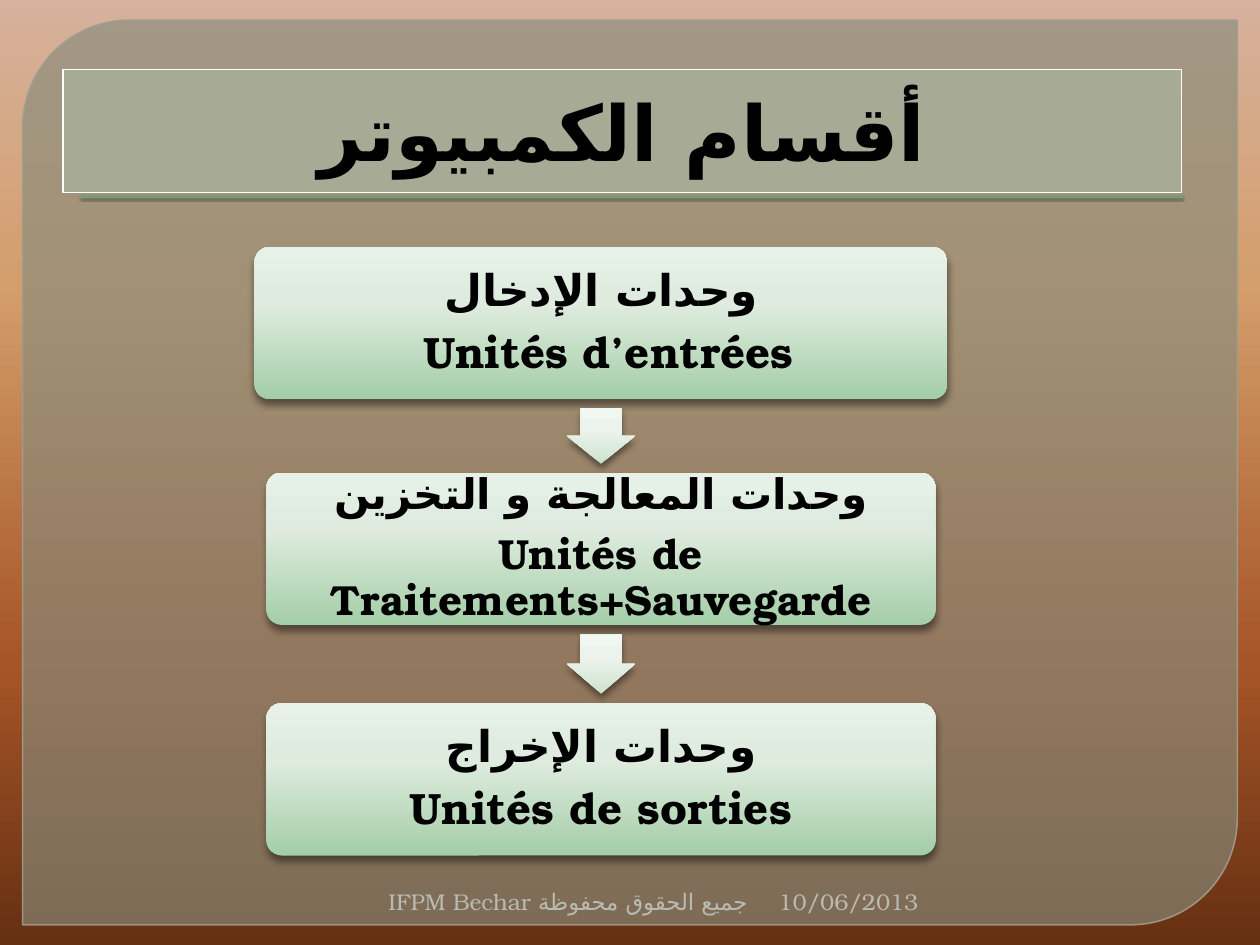
import dataclasses
import itertools

import pptx
import pptx.util
from pptx.dml.color import RGBColor
from pptx.enum.shapes import MSO_SHAPE
from pptx.enum.text import MSO_ANCHOR, PP_ALIGN
from pptx.oxml.ns import qn
from pptx.util import Inches
from lxml import etree


@dataclasses.dataclass(frozen=True)
class Theme:
    font: str = "TeX Gyre Bonum"
    arabic_font: str = "DejaVu Sans"
    text: str = "000000"
    footer: str = "B9BBB2"
    panel: str = "888B7B"
    panel_line: str = "9DA090"
    title_fill: str = "A7AA95"
    title_line: str = "FFFFFF"
    rule: str = "72A376"
    background: tuple = ((0, "D6B19C"), (30, "D49E6C"), (70, "A65528"), (100, "663012"))
    box: tuple = ((0, "A4CEA7"), (62, "DEEBDE"), (100, "E7F1E8"))
    arrow: tuple = ((0, "CEE3D0"), (62, "ECF3EC"), (100, "F1F7F1"))
    title_size: int = 44
    footer_size: int = 13


THEME = Theme()


def add_color(parent, color, alpha=100):
    clr = etree.SubElement(parent, qn("a:srgbClr"), val=color)
    if alpha < 100:
        etree.SubElement(clr, qn("a:alpha"), val=str(alpha * 1000))


def set_gradient(fill, owner, stops, angle):
    fill.gradient()
    grad = next(owner.iter(qn("a:gradFill")))
    for child in list(grad):
        grad.remove(child)
    grad.set("rotWithShape", "0")
    gs_list = etree.SubElement(grad, qn("a:gsLst"))
    for pos, color in stops:
        add_color(etree.SubElement(gs_list, qn("a:gs"), pos=str(pos * 1000)), color)
    etree.SubElement(grad, qn("a:lin"), ang=str(angle * 60000), scaled="0")


def set_alpha(color_owner, alpha):
    clr = next(color_owner.iter(qn("a:srgbClr")))
    etree.SubElement(clr, qn("a:alpha"), val=str(alpha * 1000))


def add_shadow(sp, alpha, blur, dist):
    effects = next(sp._element.iter(qn("a:effectLst")))
    shadow = etree.SubElement(
        effects, qn("a:outerShdw"), blurRad=str(pptx.util.Pt(blur)),
        dist=str(pptx.util.Pt(dist)), dir="5400000", rotWithShape="0")
    add_color(shadow, "000000", alpha)


def add_shape(s, kind, at, fill=None, line=None, width=0.75, adj=()):
    sp = s.shapes.add_shape(kind, *map(Inches, at))
    sp.shadow.inherit = False
    for i, value in enumerate(adj):
        sp.adjustments[i] = value
    if fill:
        sp.fill.solid()
        sp.fill.fore_color.rgb = RGBColor.from_string(fill)
    if line:
        sp.line.color.rgb = RGBColor.from_string(line)
        sp.line.width = pptx.util.Pt(width)
    else:
        sp.line.fill.background()
    return sp


def add_paragraph(tf, text, *, size, color=THEME.text, bold=False,
                  align=PP_ALIGN.CENTER, rtl=False, spacing=None, after=0):
    p = tf.paragraphs[0] if not tf.text else tf.add_paragraph()
    p.alignment = align
    p.space_after = pptx.util.Pt(after)
    if spacing:
        p.line_spacing = spacing
    if rtl:
        p._p.get_or_add_pPr().set("rtl", "1")
    r = p.add_run()
    r.text = text
    r.font.size = pptx.util.Pt(size)
    r.font.bold = bold
    r.font.color.rgb = RGBColor.from_string(color)
    r.font.name = THEME.font
    etree.SubElement(r._r.get_or_add_rPr(), qn("a:cs"), typeface=THEME.arabic_font)


def add_backdrop(s):
    set_gradient(s.background.fill, s._element, THEME.background, 90)
    panel = add_shape(s, MSO_SHAPE.ROUND_2_DIAG_RECTANGLE, (0.18, 0.16, 9.64, 7.18),
                      THEME.panel, THEME.panel_line, 0.87, (0.118, 0))
    set_alpha(panel._element.spPr.find(qn("a:solidFill")), 65)
    set_alpha(panel._element.spPr.find(qn("a:ln")), 88)
    rule = add_shape(s, MSO_SHAPE.RECTANGLE, (0.64, 1.55, 8.75, 0.02), THEME.rule)
    add_shadow(rule, 75, 1, 1)


def add_title(s, text):
    sp = add_shape(s, MSO_SHAPE.RECTANGLE, (0.5, 0.55, 8.88, 0.98),
                   THEME.title_fill, THEME.title_line)
    sp.text_frame.vertical_anchor = MSO_ANCHOR.MIDDLE
    add_paragraph(sp.text_frame, text, size=THEME.title_size, bold=True, rtl=True)


def add_unit_box(s, at, lines, size):
    sp = add_shape(s, MSO_SHAPE.ROUNDED_RECTANGLE, at, adj=(0.1,))
    set_gradient(sp.fill, sp._element, THEME.box, 270)
    add_shadow(sp, 43, 4, 3)
    tf = sp.text_frame
    tf.word_wrap = True
    tf.vertical_anchor = MSO_ANCHOR.MIDDLE
    tf.margin_left = tf.margin_right = tf.margin_top = tf.margin_bottom = Inches(0.06)
    for line in lines:
        add_paragraph(tf, line, size=size, bold=True, rtl=True,
                      spacing=0.9, after=0.35 * size)


def add_arrow(s, center_x, top, bottom):
    length, thickness = 0.76 * (bottom - top), 0.54
    at = (center_x - length / 2, (top + bottom - thickness) / 2, length, thickness)
    sp = add_shape(s, MSO_SHAPE.RIGHT_ARROW, at, adj=(0.6, 0.5))
    sp.rotation = 90
    set_gradient(sp.fill, sp._element, THEME.arrow, 270)
    add_shadow(sp, 43, 4, 3)


def add_footer(s, at, text, align):
    tf = s.shapes.add_textbox(*map(Inches, at)).text_frame
    tf.word_wrap = True
    add_paragraph(tf, text, size=THEME.footer_size, color=THEME.footer, align=align)


def main():
    prs = pptx.Presentation()
    prs.slide_width, prs.slide_height = Inches(10), Inches(7.5)
    s = prs.slides.add_slide(prs.slide_layouts[6])
    add_backdrop(s)
    add_title(s, "أقسام الكمبيوتر")

    center_x, height = 4.77, 1.21
    units = [
        (1.96, 5.5, 25, ("وحدات الإدخال", "Unités d’entrées ")),
        (3.75, 5.31, 24, ("وحدات المعالجة و التخزين", "Unités de Traitements+Sauvegarde")),
        (5.58, 5.31, 25, ("وحدات الإخراج", "Unités de sorties")),
    ]
    for top, width, size, lines in units:
        add_unit_box(s, (center_x - width / 2, top, width, height), lines, size)
    for upper, lower in itertools.pairwise(units):
        add_arrow(s, center_x, upper[0] + height, lower[0])

    add_footer(s, (6.08, 7, 3.28, 0.3), "10/06/2013", PP_ALIGN.LEFT)
    add_footer(s, (1.42, 7, 4.61, 0.3), "IFPM Bechar جميع الحقوق محفوظة", PP_ALIGN.RIGHT)
    prs.save("out.pptx")


if __name__ == "__main__":
    main()
